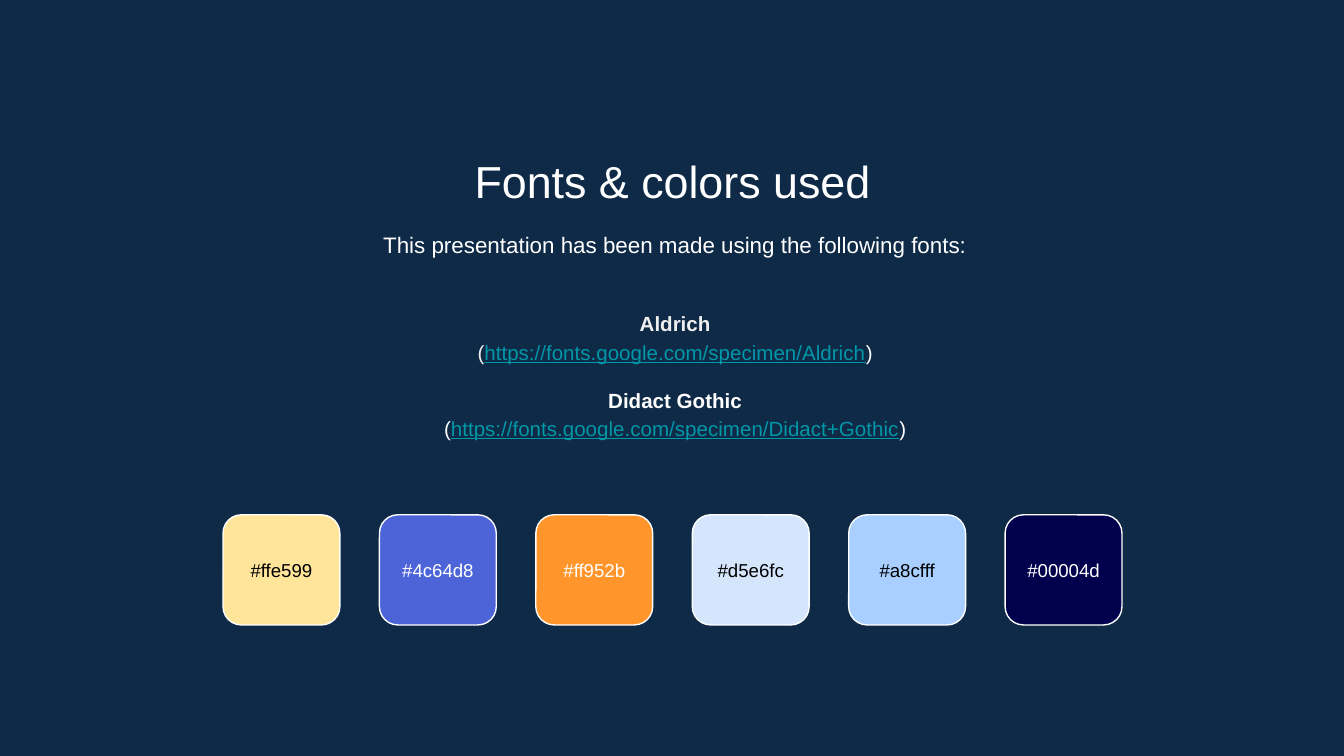
"""Build the slide that lists the fonts and colors used."""
from pptx import Presentation
from pptx import util as u
from pptx.dml.color import RGBColor
from pptx.enum import shapes, text

COLORS = {"back": "0E2A47", "white": "FFFFFF", "black": "000000",
          "pale": "EFEFEF", "link": "0097A7"}
FONT = "Arial"
TITLE = "Fonts & colors used"
INTRO = "This presentation has been made using the following fonts:"
FONTS = [("Aldrich", "https://fonts.google.com/specimen/Aldrich", "pale"),
         ("Didact Gothic", "https://fonts.google.com/specimen/Didact+Gothic", "white")]
SWATCHES = [("#ffe599", "black"), ("#4c64d8", "white"), ("#ff952b", "white"),
            ("#d5e6fc", "black"), ("#a8cfff", "black"), ("#00004d", "white")]

SWATCH_LEFT, SWATCH_TOP, SWATCH_W, SWATCH_H = 119.5, 275.8, 62.6, 59
SWATCH_PITCH = 83.8
LABEL_H = 34.6


def rgb(value):
    return RGBColor.from_string(value.lstrip("#").upper())


def write(paragraph, words, size=11, color="white", bold=False, underline=False):
    """Add one formatted run to a centred paragraph."""
    paragraph.alignment = text.PP_ALIGN.CENTER
    run = paragraph.add_run()
    run.text = words
    run.font.name, run.font.size = FONT, u.Pt(size)
    run.font.bold, run.font.underline = bold, underline
    run.font.color.rgb = rgb(COLORS[color])


def frame_of(box, anchor):
    """Set the insets, wrapping and anchor of a box and return its frame."""
    frame = box.text_frame
    frame.word_wrap = True
    frame.auto_size = text.MSO_AUTO_SIZE.NONE
    frame.vertical_anchor = anchor
    frame.margin_left = frame.margin_right = u.Pt(7.2)
    frame.margin_top = frame.margin_bottom = u.Pt(7.2)
    return frame


def add_box(slide, left, top, width, height, anchor=text.MSO_ANCHOR.MIDDLE):
    box = slide.shapes.add_textbox(u.Pt(left), u.Pt(top), u.Pt(width), u.Pt(height))
    return frame_of(box, anchor)


def add_title(slide):
    title = slide.shapes.title
    title.left, title.top = u.Pt(82.8), u.Pt(74.9)
    title.width, title.height = u.Pt(555), u.Pt(38.2)
    write(frame_of(title, text.MSO_ANCHOR.TOP).paragraphs[0], TITLE, size=24)


def add_fonts(slide):
    intro = add_box(slide, 84.2, 114.5, 555, 34.6, text.MSO_ANCHOR.TOP).paragraphs[0]
    intro.line_spacing = 1.15
    write(intro, INTRO, size=12)

    frame = add_box(slide, 84.2, 151.2, 555, 98.6)
    for index, (name, address, color) in enumerate(FONTS):
        heading = frame.add_paragraph() if index else frame.paragraphs[0]
        if index:
            heading.space_before = u.Pt(10.6)
        source = frame.add_paragraph()
        heading.line_spacing = source.line_spacing = 1.15
        write(heading, name, color=color, bold=True)
        write(source, "(", color=color)
        write(source, address, color="link", underline=True)
        write(source, ")")


def add_swatches(slide):
    label_top = SWATCH_TOP + (SWATCH_H - LABEL_H) / 2
    for index, (code, color) in enumerate(SWATCHES):
        left = SWATCH_LEFT + index * SWATCH_PITCH
        swatch = slide.shapes.add_shape(
            shapes.MSO_SHAPE.ROUNDED_RECTANGLE, u.Pt(left), u.Pt(SWATCH_TOP),
            u.Pt(SWATCH_W), u.Pt(SWATCH_H))
        swatch.shadow.inherit = False
        swatch.fill.solid()
        swatch.fill.fore_color.rgb = rgb(code)
        swatch.line.color.rgb = rgb(COLORS["white"])
        swatch.line.width = u.Pt(0.75)
        label = add_box(slide, left, label_top, SWATCH_W, LABEL_H)
        write(label.paragraphs[0], code, size=10, color=color)


def main():
    deck = Presentation()
    deck.slide_width, deck.slide_height = u.Pt(720), u.Pt(405)
    slide = deck.slides.add_slide(deck.slide_layouts[5])
    slide.background.fill.solid()
    slide.background.fill.fore_color.rgb = rgb(COLORS["back"])
    add_title(slide)
    add_fonts(slide)
    add_swatches(slide)
    deck.save("out.pptx")


if __name__ == "__main__":
    main()
